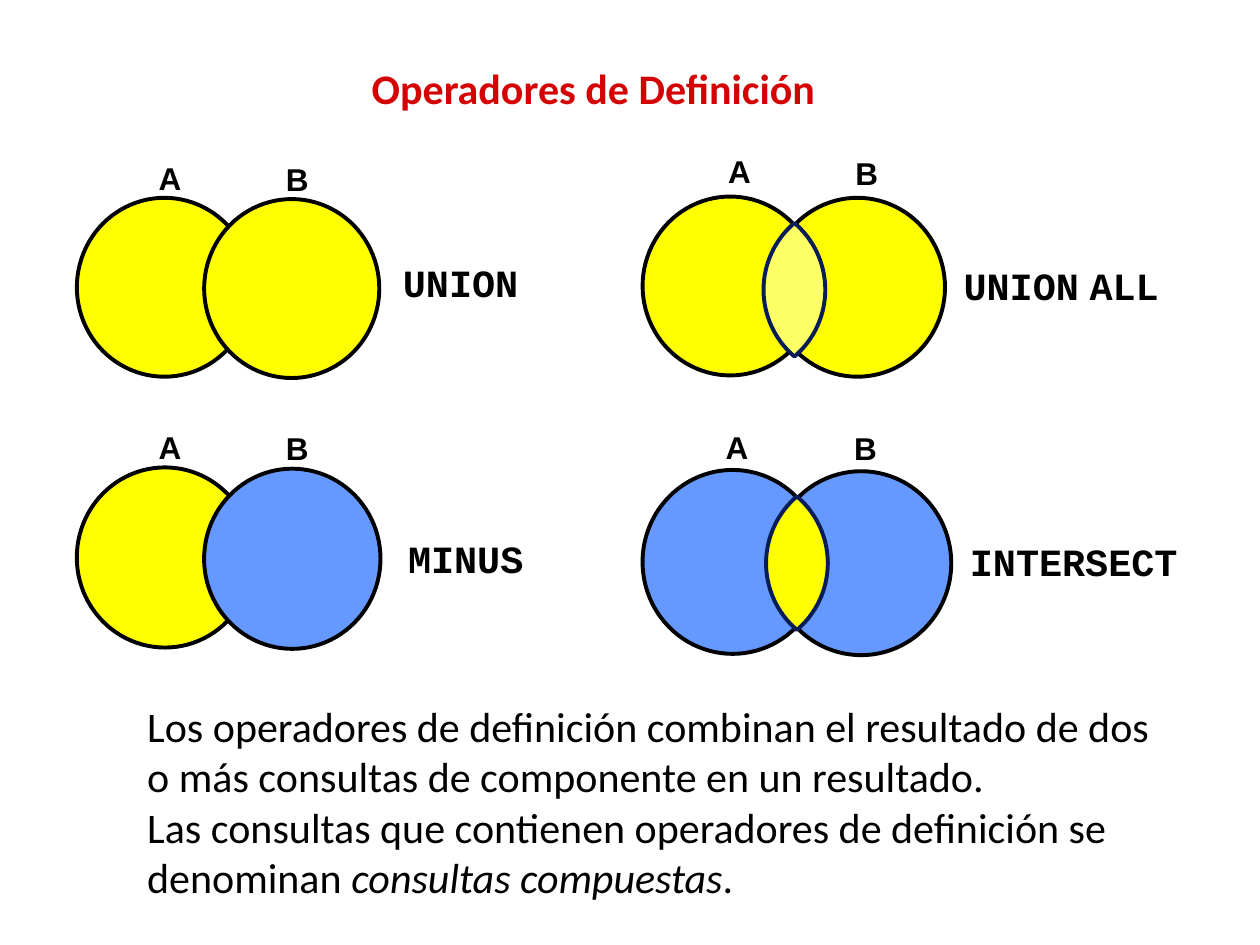
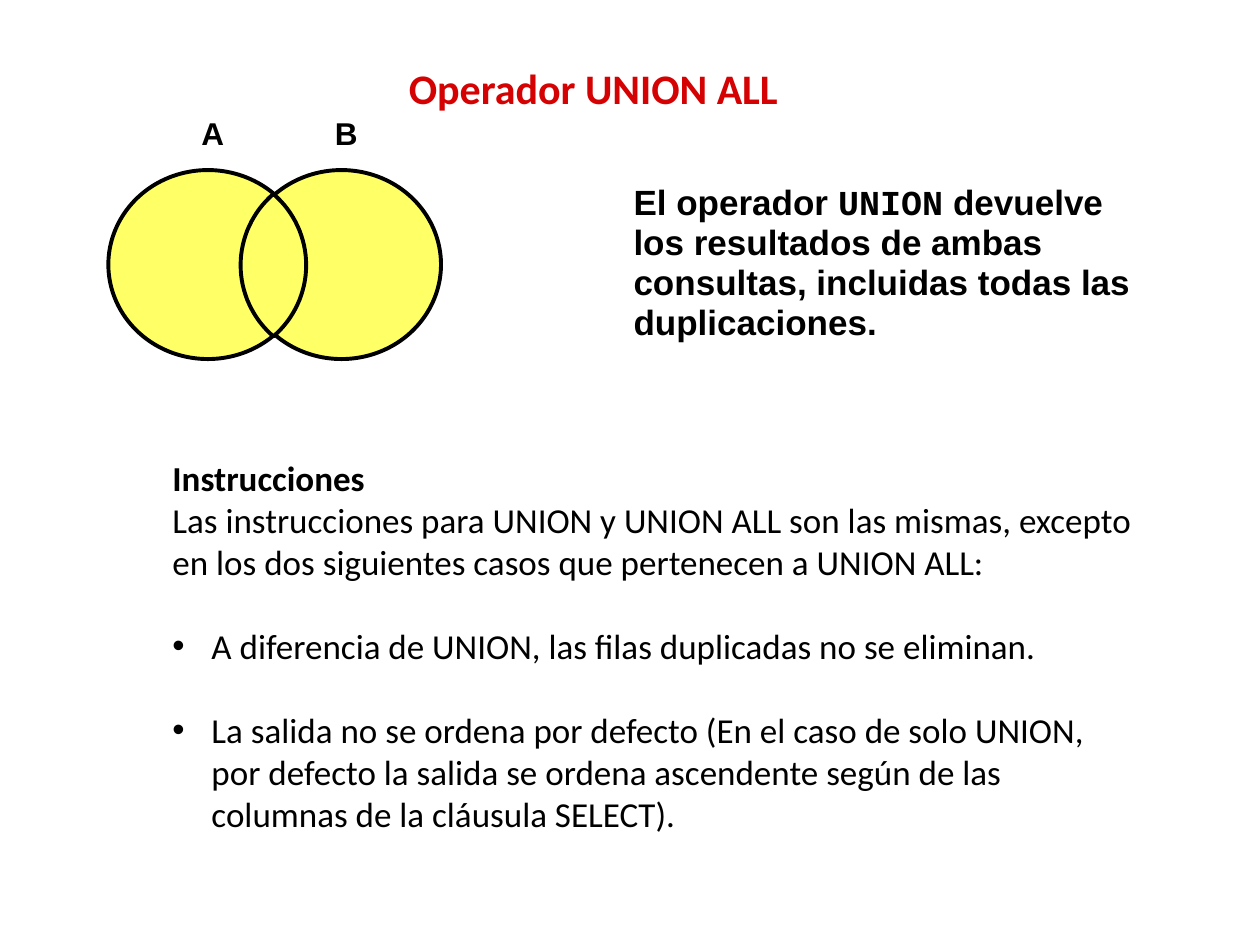
from math import asin, cos, sin

from lxml.etree import SubElement
from pptx import Presentation
from pptx.dml.color import RGBColor
from pptx.enum.shapes import MSO_SHAPE as Shape
from pptx.enum.text import MSO_ANCHOR as Anchor, PP_ALIGN as Align
from pptx.oxml.ns import qn
from pptx.util import Inches, Pt

BLACK, RED, NAVY = "000000", "D40202", "081D58"
YELLOW, PALE, BLUE = "FFFF00", "FFFF66", "6699FF"
TITLE = dict(name="Calibri", size=Pt(24), bold=True, color=RED)
BODY = dict(name="Calibri", size=Pt(24), color=BLACK)
STEPS = dict(BODY, size=Pt(20))
SET_NAME = dict(name="Arial", size=Pt(18), bold=True, color=BLACK)
OPERATOR = dict(name="Courier New", size=Pt(22), bold=True, color=BLACK)
SUMMARY = dict(name="Arial", size=Pt(20), bold=True, color=BLACK)


def rgb(value):
    """Turn a hex string into a colour."""
    return RGBColor.from_string(value)


def apply(target, formats):
    """Set each format value on the target."""
    for key, value in formats.items():
        if key == "color":
            target.color.rgb = rgb(value)
        else:
            setattr(target, key, value)


def add_runs(paragraph, runs, font, **layout):
    """Fill a paragraph with (text, font changes) runs."""
    apply(paragraph, layout)
    for text, changes in runs:
        if text == "\n":
            paragraph.add_line_break()
        else:
            run = paragraph.add_run()
            run.text = text
            apply(run.font, {**font, **changes})


def text_frame(shapes, box, wrap=True):
    """Add an empty text box and return its frame."""
    frame = shapes.add_textbox(*map(Inches, box)).text_frame
    frame.word_wrap = wrap
    return frame


def label(shapes, left, top, width, height, runs, font):
    """Place a one-line label."""
    frame = text_frame(shapes, (left, top, width, height), wrap=False)
    add_runs(frame.paragraphs[0], runs, font)


def title(slide, text):
    """Place the centred slide title."""
    frame = text_frame(slide.shapes, (0.33, 0.19, 8.76, 1.01))
    frame.vertical_anchor = Anchor.MIDDLE
    add_runs(frame.paragraphs[0], [(text, {})], TITLE, alignment=Align.CENTER)


def paint(outline, fill, line):
    """Give a shape its fill and border."""
    outline.shadow.inherit = False
    outline.fill.solid()
    outline.fill.fore_color.rgb = rgb(fill)
    apply(outline.line, dict(color=line, width=Pt(2.25)))


def lens(shapes, left, top, width, height, fill, line):
    """Draw the overlap of two circles inside the given box."""
    half_w, half_h = width / 2, height / 2
    radius = (half_w ** 2 + half_h ** 2) / width
    reach, count = asin(half_h / radius), 32
    angles = [reach * (2 * i / count - 1) for i in range(count + 1)]
    bulge = [(radius * cos(a) - radius + half_w, radius * sin(a)) for a in angles]
    points = bulge + [(-x, -y) for x, y in bulge[1:-1]]
    corners = [(Inches(left + half_w + x), Inches(top + half_h + y)) for x, y in points]
    builder = shapes.build_freeform(*corners[0])
    builder.add_line_segments(corners[1:], close=True)
    paint(builder.convert_to_shape(), fill, line)


def venn(shapes, left, top, size, step, fills, names_at, overlap=None):
    """Draw sets A and B with their names and an optional overlap."""
    places = [(left, top), (left + step[0], top + step[1])]
    for (x, y), fill in zip(places, fills):
        circle = shapes.add_shape(Shape.OVAL, *map(Inches, (x, y, *size)))
        paint(circle, fill, BLACK)
    if overlap:
        (x, y, width, height), fill, line = overlap
        lens(shapes, left + x, top + y, width, height, fill, line)
    for (x, y), name in zip(places, "AB"):
        label(shapes, x + names_at[0], y + names_at[1], 0.38, 0.4, [(name, {})], SET_NAME)


def operator_panel(slide, left, top, size, step, fills, names_at, overlap, caption):
    """Group one diagram with the name of its operator."""
    shapes = slide.shapes.add_group_shape().shapes
    venn(shapes, left, top, size, step, fills, names_at, overlap)
    x, y, width, runs = caption
    label(shapes, left + x, top + y, width, 0.47, runs, OPERATOR)


def definition(slide, box):
    """Place the explanation under the four diagrams."""
    runs = [
        ("Los operadores de definición combinan el resultado de dos o más consultas "
         "de componente en un resultado.", {}),
        ("\n", {}),
        ("Las consultas que contienen operadores de definición se denominan ", {}),
        ("consultas compuestas", dict(italic=True)),
        (".", {}),
    ]
    add_runs(text_frame(slide.shapes, box).paragraphs[0], runs, BODY)


def summary(slide, box):
    """Place the bold statement beside the diagram."""
    runs = [
        ("El operador ", {}),
        ("UNION", dict(name="Courier New")),
        (" devuelve los resultados de ambas consultas, incluidas todas las "
         "duplicaciones.", {}),
    ]
    add_runs(text_frame(slide.shapes, box).paragraphs[0], runs, SUMMARY, line_spacing=0.95)


def bullet(paragraph):
    """Give a paragraph a hanging bullet."""
    properties = paragraph._p.get_or_add_pPr()
    properties.set("marL", str(Inches(0.31)))
    properties.set("indent", str(Inches(-0.31)))
    SubElement(properties, qn("a:buFont"), typeface="Arial")
    SubElement(properties, qn("a:buChar"), char="•")


def instructions(slide, box):
    """Place the heading, the introduction and the two cases."""
    frame = text_frame(slide.shapes, box)
    add_runs(frame.paragraphs[0], [("Instrucciones", dict(bold=True))], STEPS)
    intro = ("Las instrucciones para UNION y UNION ALL son las mismas, excepto en los "
             "dos siguientes casos que pertenecen a UNION ALL:")
    add_runs(frame.add_paragraph(), [(intro, {})], STEPS)
    cases = [
        "A diferencia de UNION, las filas duplicadas no se eliminan.",
        "La salida no se ordena por defecto (En el caso de solo UNION, por defecto la "
        "salida se ordena ascendente según de las columnas de la cláusula SELECT).",
    ]
    for case in cases:
        paragraph = frame.add_paragraph()
        add_runs(paragraph, [(case, {})], STEPS, space_before=Pt(24))
        bullet(paragraph)


def operators_slide(slide):
    """Compare the four set operators."""
    title(slide, "Operadores de Definición")
    union_all = [("UNION", {}), (" ", dict(name="Arial")), ("ALL", {})]
    panels = [
        (0.61, 1.57, (1.39, 1.42), (1.01, 0.01), (YELLOW, YELLOW), (0.55, -0.36),
         None, (2.49, 0.44, 1.23, [("UNION", {})])),
        (5.1, 3.73, (1.43, 1.46), (1.02, 0.01), (BLUE, BLUE), (0.56, -0.38),
         ((0.98, 0.21, 0.49, 1.06), YELLOW, NAVY), (2.5, 0.49, 1.86, [("INTERSECT", {})])),
        (0.61, 3.71, (1.4, 1.43), (1.01, 0.01), (YELLOW, BLUE), (0.55, -0.36),
         None, (2.53, 0.49, 1.12, [("MINUS", {})])),
        (5.1, 1.56, (1.39, 1.42), (1.01, 0.01), (YELLOW, YELLOW), (0.58, -0.4),
         ((0.96, 0.21, 0.49, 1.06), PALE, NAVY), (2.45, 0.47, 1.77, union_all)),
    ]
    for panel in panels:
        operator_panel(slide, *panel)
    definition(slide, (1.07, 5.51, 8.39, 1.72))


def union_all_slide(slide):
    """Explain the UNION ALL operator."""
    title(slide, "Operador UNION ALL")
    venn(slide.shapes, 0.86, 1.35, (1.58, 1.5), (1.06, 0), (PALE, PALE), (0.64, -0.49),
         ((1.05, 0.19, 0.52, 1.13), PALE, BLACK))
    instructions(slide, (1.27, 3.57, 7.82, 3.13))
    summary(slide, (4.93, 1.41, 4.23, 1.38))


def main():
    """Build and save the presentation."""
    deck = Presentation()
    apply(deck, dict(slide_width=Inches(10), slide_height=Inches(7.5)))
    for build in (operators_slide, union_all_slide):
        build(deck.slides.add_slide(deck.slide_layouts[6]))
    deck.save("out.pptx")


main()
